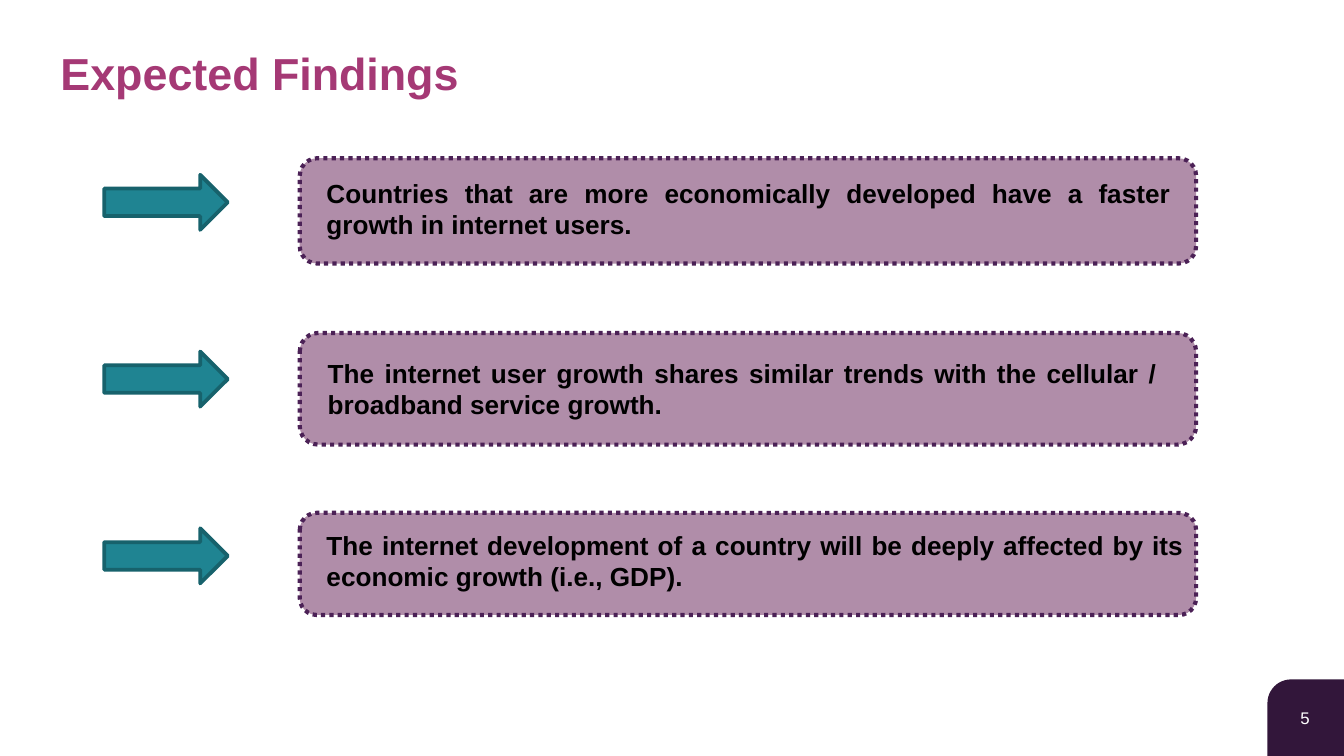
from dataclasses import dataclass

from pptx import Presentation
from pptx.dml.color import RGBColor
from pptx.enum import dml, shapes, text
from pptx.util import Pt


@dataclass(frozen=True)
class Theme:
    font: str = "Arial"
    title: str = "A53975"
    body: str = "000000"
    box_fill: str = "B08DA9"
    box_line: str = "4B2156"
    arrow_fill: str = "1F8492"
    arrow_line: str = "17626C"
    corner: str = "32163A"
    page_number: str = "FFFFFF"
    title_size: float = 24
    body_size: float = 14
    page_number_size: float = 9


THEME = Theme()
BOX_LEFT, BOX_WIDTH = 160.6, 480.2
ARROW_CENTER_X, ARROW_FIRST_Y, ARROW_PITCH = 88.9, 108.4, 94.7
ARROW_WIDTH, ARROW_LENGTH = 29.5, 66.2

# box top, box height, text (left, top, width, height), wording
FINDINGS = [
    (84.8, 56.4, (167.8, 91.4, 466.6, 58.3),
     "Countries that are more economically developed have a faster growth in internet users."),
    (178.4, 59.8, (168.5, 187.9, 458.6, 41),
     "The internet user growth shares similar trends with the cellular / broadband service growth."),
    (274.8, 54.7, (167.8, 280.1, 473.8, 41),
     "The internet development of a country will be deeply affected by its economic growth (i.e., GDP)."),
]


def add_shape(slide, kind, bounds, fill, line=None, line_width=0):
    shape = slide.shapes.add_shape(kind, *map(Pt, bounds))
    shape.shadow.inherit = False
    shape.fill.solid()
    shape.fill.fore_color.rgb = RGBColor.from_string(fill)
    if line:
        shape.line.color.rgb = RGBColor.from_string(line)
        shape.line.width = Pt(line_width)
    else:
        shape.line.fill.background()
    return shape


def add_text(slide, bounds, wording, size, color, bold=False,
             align=text.PP_ALIGN.LEFT, anchor=text.MSO_ANCHOR.TOP,
             margins=(7.2, 3.6), line_spacing=None):
    """Margins are horizontal, then vertical."""
    frame = slide.shapes.add_textbox(*map(Pt, bounds)).text_frame
    frame.word_wrap = True
    frame.vertical_anchor = anchor
    frame.margin_left = frame.margin_right = Pt(margins[0])
    frame.margin_top = frame.margin_bottom = Pt(margins[1])
    paragraph = frame.paragraphs[0]
    paragraph.alignment = align
    if line_spacing:
        paragraph.line_spacing = line_spacing
    run = paragraph.add_run()
    run.text = wording
    run.font.name = THEME.font
    run.font.size = Pt(size)
    run.font.bold = bold
    run.font.color.rgb = RGBColor.from_string(color)


def add_box(slide, top, height):
    box = add_shape(slide, shapes.MSO_SHAPE.ROUNDED_RECTANGLE,
                    (BOX_LEFT, top, BOX_WIDTH, height),
                    THEME.box_fill, THEME.box_line, 2.25)
    box.line.dash_style = dml.MSO_LINE.ROUND_DOT


def add_arrow(slide, center_y):
    """Turn a down arrow so that it points right."""
    bounds = (ARROW_CENTER_X - ARROW_WIDTH / 2, center_y - ARROW_LENGTH / 2,
              ARROW_WIDTH, ARROW_LENGTH)
    arrow = add_shape(slide, shapes.MSO_SHAPE.DOWN_ARROW, bounds,
                      THEME.arrow_fill, THEME.arrow_line, 2)
    arrow.rotation = 270


def add_page_number(slide, number):
    corner = add_shape(slide, shapes.MSO_SHAPE.ROUND_1_RECTANGLE,
                       (679, 364, 41, 41), THEME.corner)
    corner.adjustments[0] = 0.31
    corner.element.spPr.xfrm.set("flipH", "1")
    add_text(slide, (687.6, 376.2, 23, 16.6), number, THEME.page_number_size,
             THEME.page_number, align=text.PP_ALIGN.CENTER,
             anchor=text.MSO_ANCHOR.MIDDLE, margins=(5, 2.9))


def main():
    presentation = Presentation()
    presentation.slide_width, presentation.slide_height = Pt(720), Pt(405)
    slide = presentation.slides.add_slide(presentation.slide_layouts[6])

    add_page_number(slide, "5")
    add_text(slide, (27.4, 18, 666, 45.4), "Expected Findings", THEME.title_size,
             THEME.title, bold=True, anchor=text.MSO_ANCHOR.MIDDLE,
             margins=(5, 2.9), line_spacing=0.9)
    for index, (top, height, text_bounds, wording) in enumerate(FINDINGS):
        add_box(slide, top, height)
        add_arrow(slide, ARROW_FIRST_Y + index * ARROW_PITCH)
        add_text(slide, text_bounds, wording, THEME.body_size, THEME.body,
                 bold=True, align=text.PP_ALIGN.JUSTIFY)

    presentation.save("out.pptx")


if __name__ == "__main__":
    main()
